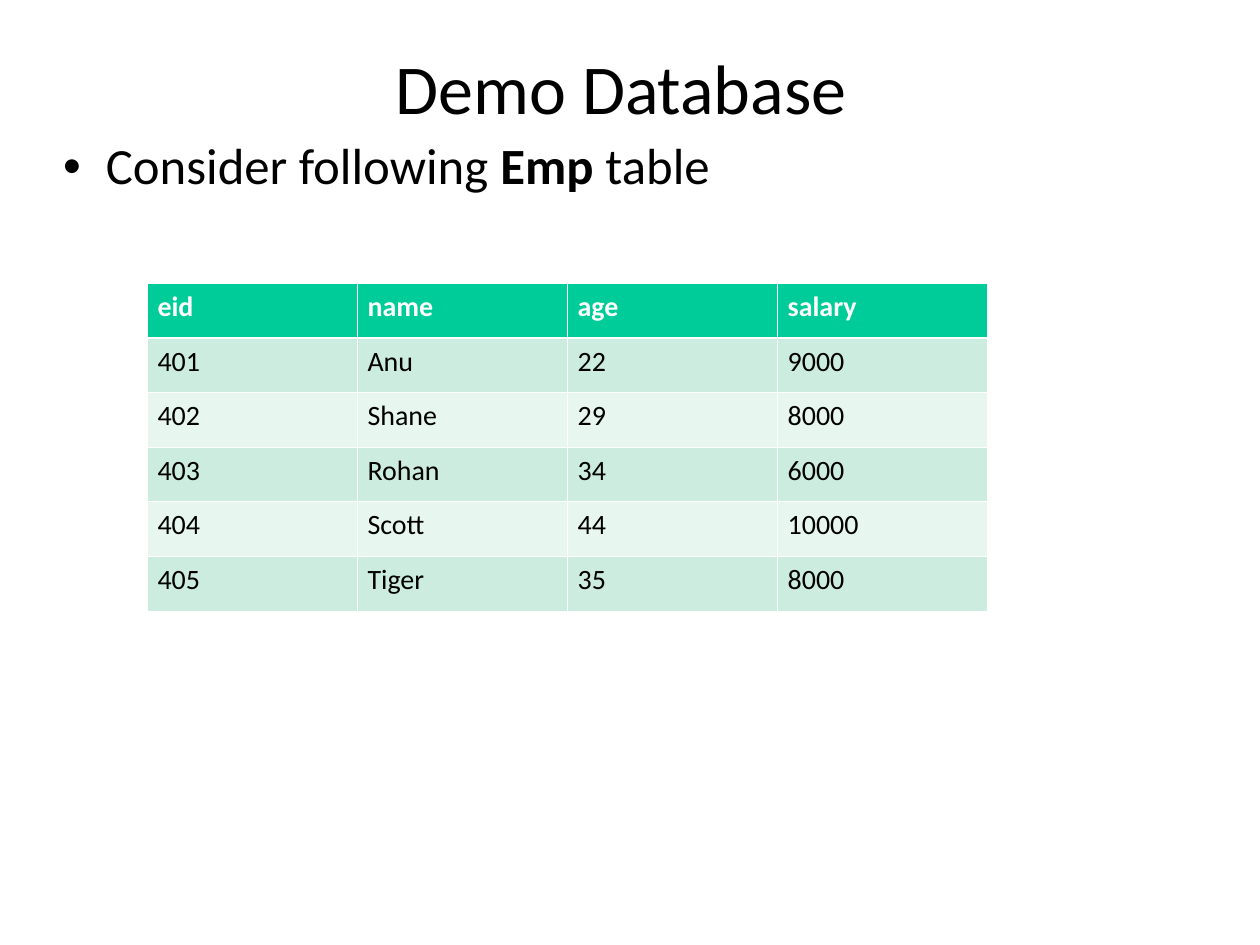
from dataclasses import dataclass

from lxml.etree import SubElement
from pptx import Presentation
from pptx.dml.color import RGBColor as RGB
from pptx.enum.text import MSO_ANCHOR as Anchor, MSO_AUTO_SIZE as AutoSize, PP_ALIGN as Align
from pptx.oxml.ns import qn
from pptx.util import Inches, Pt


@dataclass(frozen=True)
class Theme:
    font: str = "Calibri"
    title_size: float = 40
    body_size: float = 29
    table_size: float = 16
    line_spacing: float = 0.97
    rule: float = 0.45
    header_rule: float = 1.47
    ink: str = "000000"
    paper: str = "FFFFFF"
    header: str = "00CC99"
    bands: tuple = ("CBECDE", "E7F6EF")


EMPLOYEES = [
    ("eid", "name", "age", "salary"),
    ("401", "Anu", "22", "9000"),
    ("402", "Shane", "29", "8000"),
    ("403", "Rohan", "34", "6000"),
    ("404", "Scott", "44", "10000"),
    ("405", "Tiger", "35", "8000"),
]


class SlideBuilder:
    def __init__(self, slide, theme):
        self.slide = slide
        self.theme = theme

    def style(self, run, size, color, bold=False):
        font = run.font
        font.name, font.size, font.bold = self.theme.font, Pt(size), bold
        font.color.rgb = RGB.from_string(color)

    def place(self, holder, left, top, width, height):
        holder.left, holder.top = Inches(left), Inches(top)
        holder.width, holder.height = Inches(width), Inches(height)
        frame = holder.text_frame
        frame.word_wrap = True
        frame.auto_size = AutoSize.NONE
        return frame

    def title(self, wording, *box):
        frame = self.place(self.slide.shapes.title, *box)
        frame.text = wording
        frame.vertical_anchor = Anchor.MIDDLE
        heading = frame.paragraphs[0]
        heading.alignment = Align.CENTER
        heading.line_spacing = self.theme.line_spacing
        self.style(heading.runs[0], self.theme.title_size, self.theme.ink)

    def bullet(self, parts, *box):
        """Fill the body with one bullet made of (wording, bold) parts."""
        frame = self.place(self.slide.placeholders[1], *box)
        frame.margin_left = frame.margin_right = frame.margin_bottom = 0
        frame.margin_top = Inches(0.17)
        frame.vertical_anchor = Anchor.TOP
        item = frame.paragraphs[0]
        properties = item._p.get_or_add_pPr()
        properties.set("marL", str(Inches(0.34)))
        properties.set("indent", str(Inches(-0.34)))
        SubElement(properties, qn("a:buChar")).set("char", "•")
        item.line_spacing = self.theme.line_spacing
        item.space_before, item.space_after = Pt(0), Pt(12.9)
        for wording, bold in parts:
            run = item.add_run()
            run.text = wording
            self.style(run, self.theme.body_size, self.theme.ink, bold)

    def borders(self, cell, widths):
        """Draw cell borders from a mapping of side letter to points."""
        properties = cell._tc.get_or_add_tcPr()
        for side, width in widths.items():
            line = SubElement(properties, qn(f"a:ln{side}"), w=str(Pt(width)))
            fill = SubElement(line, qn("a:solidFill"))
            SubElement(fill, qn("a:srgbClr"), val=self.theme.paper)

    def cell(self, cell, wording, row):
        theme = self.theme
        is_header = row == 0
        cell.text = wording
        cell.margin_left = cell.margin_right = Inches(0.08)
        cell.margin_top = cell.margin_bottom = Inches(0.05)
        self.borders(cell, {
            "L": theme.rule,
            "R": theme.rule,
            "T": theme.header_rule if row == 1 else theme.rule,
            "B": theme.header_rule if is_header else theme.rule,
        })
        cell.fill.solid()
        background = theme.header if is_header else theme.bands[(row - 1) % 2]
        cell.fill.fore_color.rgb = RGB.from_string(background)
        self.style(cell.text_frame.paragraphs[0].runs[0], theme.table_size,
                   theme.paper if is_header else theme.ink, is_header)

    def table(self, records, left, top, width, height):
        table = self.slide.shapes.add_table(
            len(records), len(records[0]),
            Inches(left), Inches(top), Inches(width), Inches(height)).table
        table.horz_banding = False
        for row, record in enumerate(records):
            for column, wording in enumerate(record):
                self.cell(table.cell(row, column), wording, row)


def main():
    deck = Presentation()
    deck.slide_width, deck.slide_height = Inches(10), Inches(7.5)
    builder = SlideBuilder(deck.slides.add_slide(deck.slide_layouts[1]), Theme())
    builder.title("Demo Database", 0.5, 0.34, 8.86, 0.75)
    builder.bullet([("Consider following ", False), ("Emp", True), (" table", False)],
                   0.5, 0.92, 8.86, 5.65)
    builder.table(EMPLOYEES, 1.17, 2.25, 6.67, 2.6)
    deck.save("out.pptx")


if __name__ == "__main__":
    main()
